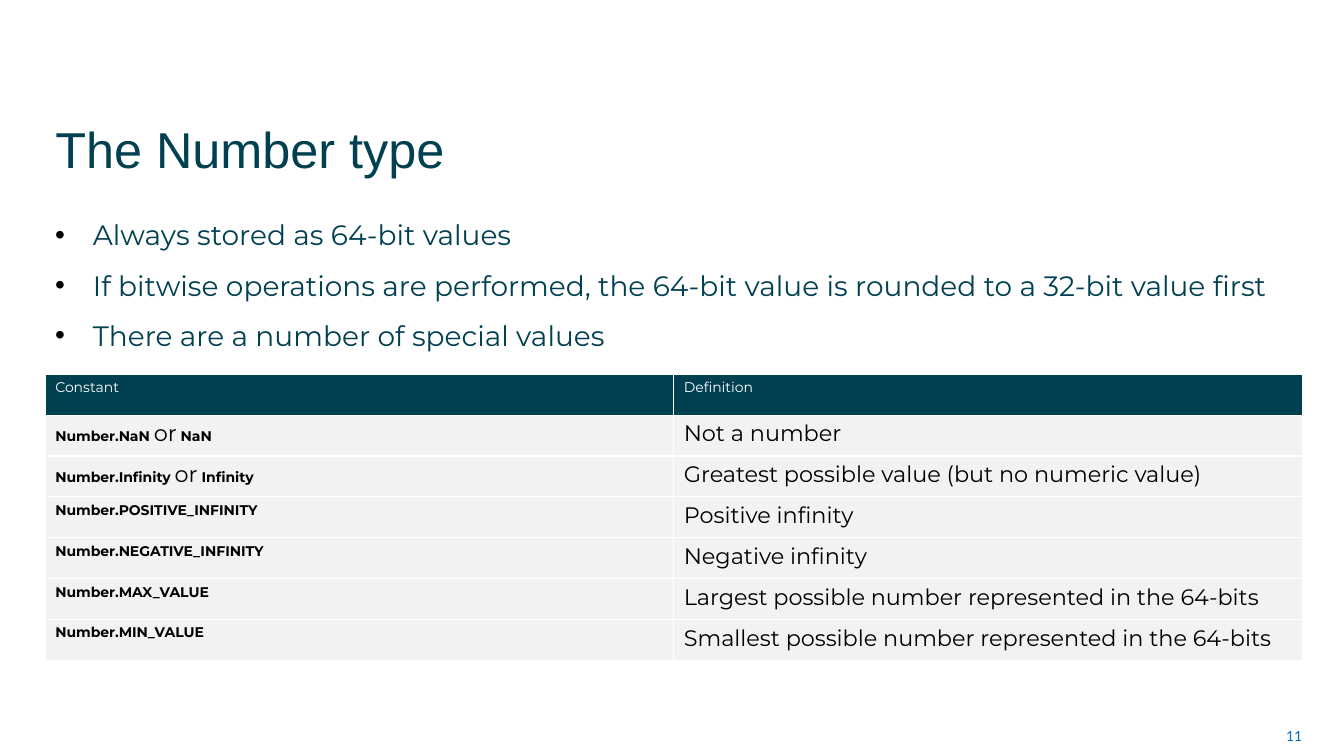
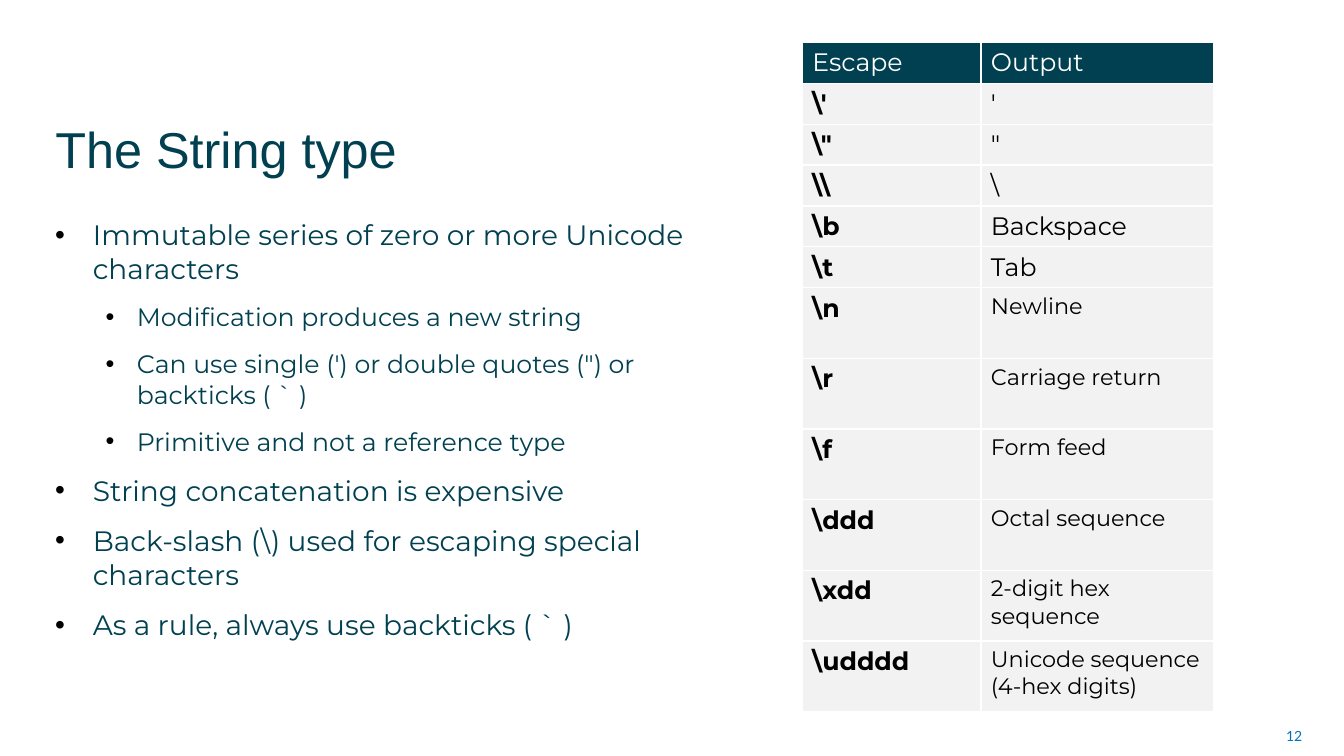
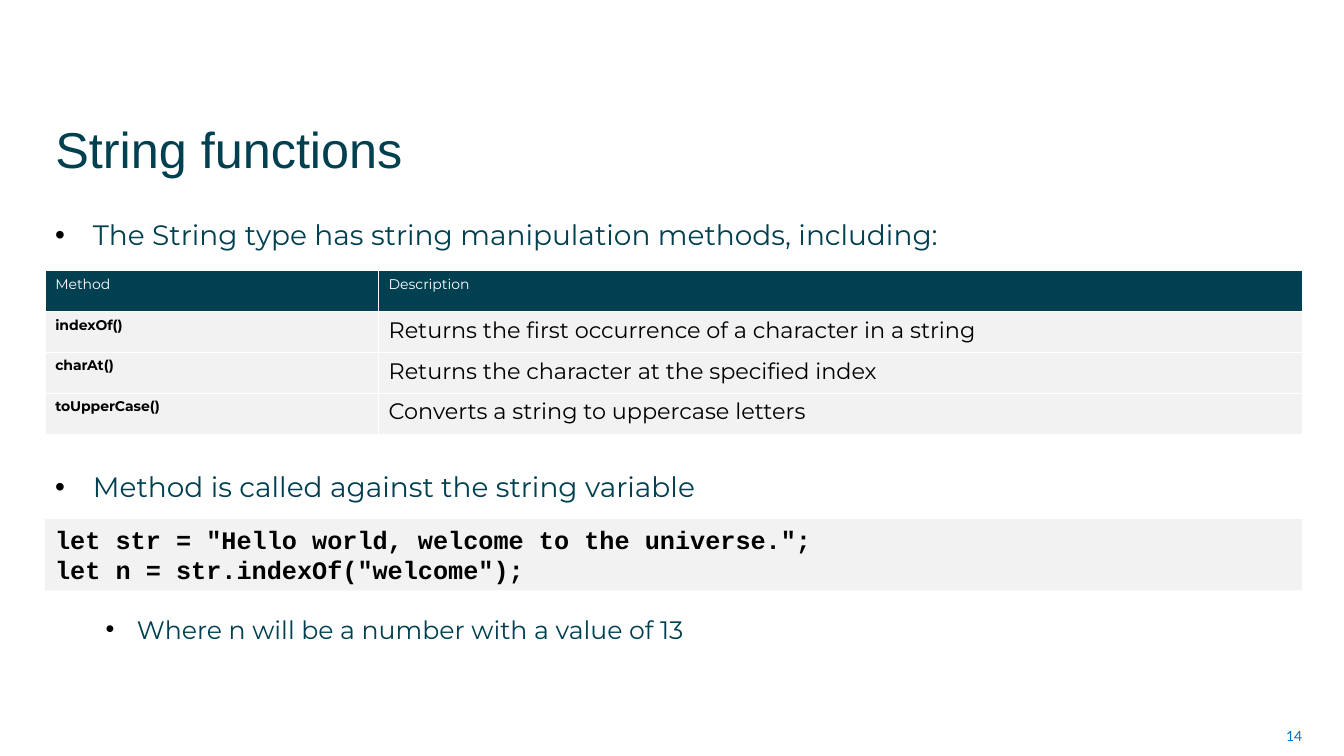
from itertools import cycle

from lxml import etree
from pptx import Presentation
from pptx.dml.color import RGBColor
from pptx.enum.shapes import MSO_SHAPE
from pptx.enum.text import MSO_ANCHOR, PP_ALIGN
from pptx.oxml.ns import qn
from pptx.util import Cm, Pt

RECTANGLE = MSO_SHAPE.RECTANGLE
MIDDLE, BOTTOM = MSO_ANCHOR.MIDDLE, MSO_ANCHOR.BOTTOM
LEFT, RIGHT = PP_ALIGN.LEFT, PP_ALIGN.RIGHT

TEAL = RGBColor(0x00, 0x40, 0x50)
BLUE = RGBColor(0x00, 0x70, 0xC0)
GREY = RGBColor(0xF2, 0xF2, 0xF2)
BLACK = RGBColor(0, 0, 0)
WHITE = RGBColor(0xFF, 0xFF, 0xFF)

MARGIN = Cm(1.14)
CONTENT_WIDTH = Cm(31.68)
ROW, TALL_ROW = Cm(1.03), Cm(1.78)
TITLE_ONLY = 5

TITLE_FONT = {"name": "Arial", "size": Pt(36), "bold": False}
NUMBER_FONT = {"name": "Lato", "size": Pt(10)}
CODE_FONT = {"name": "Courier New", "size": Pt(18), "bold": True}
BULLET_LEVELS = [
    {"size": 20, "indent": Cm(0.95), "hanging": Cm(0.95)},
    {"size": 18, "indent": Cm(2.06), "hanging": Cm(0.79)},
]


def montserrat(size, bold=False):
    """Return the format values of the text font."""
    return {"name": "Montserrat", "size": Pt(size), "bold": bold}


def add_text(paragraph, text, values, color):
    """Append one formatted run to a paragraph."""
    run = paragraph.add_run()
    run.text = text
    for key, value in values.items():
        setattr(run.font, key, value)
    run.font.color.rgb = color


def add_titled_slide(prs, title, number):
    """Add a slide with its title and slide number."""
    slide = prs.slides.add_slide(prs.slide_layouts[TITLE_ONLY])
    heading = slide.shapes.title
    place = {"left": MARGIN, "top": Cm(2.18), "width": Cm(26.29), "height": Cm(2.44)}
    for key, value in place.items():
        setattr(heading, key, value)
    heading.text_frame.vertical_anchor = BOTTOM
    title_line = heading.text_frame.paragraphs[0]
    title_line.alignment = LEFT
    add_text(title_line, title, TITLE_FONT, TEAL)

    footer = slide.shapes.add_textbox(Cm(25.17), Cm(18.03), Cm(7.9), Cm(1.02))
    footer.text_frame.word_wrap = True
    footer.text_frame.vertical_anchor = MIDDLE
    number_line = footer.text_frame.paragraphs[0]
    number_line.alignment = RIGHT
    add_text(number_line, str(number), NUMBER_FONT, BLUE)
    return slide


def set_bullet(paragraph, level):
    """Give a paragraph the black bullet and indent of its level."""
    paragraph.level = level
    properties = paragraph._p.get_or_add_pPr()
    properties.set("marL", str(BULLET_LEVELS[level]["indent"]))
    properties.set("indent", str(-BULLET_LEVELS[level]["hanging"]))
    bullet_color = etree.SubElement(properties, qn("a:buClr"))
    etree.SubElement(bullet_color, qn("a:srgbClr"), val=str(BLACK))
    etree.SubElement(properties, qn("a:buFont"), typeface="Arial")
    etree.SubElement(properties, qn("a:buChar"), char="•")


def add_bullets(slide, width, points):
    """Add the bullet list; each point is level, text and space before."""
    body = slide.shapes.add_textbox(MARGIN, Cm(5.36), width, Cm(12.62)).text_frame
    body.word_wrap = True
    for index, (level, text, space_before) in enumerate(points):
        paragraph = body.add_paragraph() if index else body.paragraphs[0]
        paragraph.space_before = Pt(space_before)
        paragraph.space_after = Pt(6)
        set_bullet(paragraph, level)
        add_text(paragraph, text, montserrat(BULLET_LEVELS[level]["size"]), TEAL)


def fill_cell(cell, background, color, parts, fonts):
    """Fill a cell and write its parts with the fonts in turn."""
    cell.fill.solid()
    cell.fill.fore_color.rgb = background
    for text, values in zip(parts, cycle(fonts)):
        add_text(cell.text_frame.paragraphs[0], text, values, color)


def add_reference_table(slide, left, top, widths, header, rows, key_size, tall_from=None,
                        short_size=16):
    """Add a table of bold keys and meanings; rows from tall_from on are tall."""
    tall_from = len(rows) if tall_from is None else tall_from
    frame = slide.shapes.add_table(len(rows) + 1, 2, left, top, sum(widths), ROW * (len(rows) + 1))
    table = frame.table
    table.horz_banding = False
    for column, width, label in zip(table.columns, widths, header):
        column.width = width
    for cell, label in zip(table.rows[0].cells, header):
        fill_cell(cell, TEAL, WHITE, [label], [montserrat(key_size)])
    table.rows[0].height = ROW
    for index, (keys, meaning) in enumerate(rows):
        tall = index >= tall_from
        row = table.rows[index + 1]
        row.height = TALL_ROW if tall else ROW
        key_cell, meaning_cell = row.cells
        fill_cell(key_cell, GREY, BLACK, keys, [montserrat(key_size, True), montserrat(16)])
        fill_cell(meaning_cell, GREY, BLACK, [meaning], [montserrat(16 if tall else short_size)])


def add_code(slide, top, height, lines):
    """Add a grey band with lines of code."""
    band = slide.shapes.add_shape(RECTANGLE, MARGIN, top, CONTENT_WIDTH, height)
    band.shadow.inherit = False
    band.fill.solid()
    band.fill.fore_color.rgb = GREY
    band.line.fill.background()
    band.text_frame.word_wrap = True
    band.text_frame.vertical_anchor = MIDDLE
    for index, line in enumerate(lines):
        paragraph = band.text_frame.add_paragraph() if index else band.text_frame.paragraphs[0]
        paragraph.alignment = LEFT
        add_text(paragraph, line, CODE_FONT, BLACK)


def build_number_type(prs):
    """Build the slide on the Number type."""
    slide = add_titled_slide(prs, "The Number type", 11)
    add_bullets(slide, CONTENT_WIDTH, [
        (0, "Always stored as 64-bit values", 6),
        (0, "If bitwise operations are performed, the 64-bit value is rounded to a 32-bit value first", 6),
        (0, "There are a number of special values", 6),
    ])
    constants = [
        (["Number.NaN ", "or", " NaN"], "Not a number"),
        (["Number.Infinity ", "or", " Infinity"], "Greatest possible value (but no numeric value)"),
        (["Number.POSITIVE_INFINITY"], "Positive infinity"),
        (["Number.NEGATIVE_INFINITY"], "Negative infinity"),
        (["Number.MAX_VALUE"], "Largest possible number represented in the 64-bits"),
        (["Number.MIN_VALUE"], "Smallest possible number represented in the 64-bits"),
    ]
    add_reference_table(slide, MARGIN, Cm(9.43), [Cm(15.84), Cm(15.84)],
                        ["Constant", "Definition"], constants, key_size=10)


def build_string_type(prs):
    """Build the slide on the String type."""
    slide = add_titled_slide(prs, "The String type", 12)
    add_bullets(slide, Cm(18.01), [
        (0, "Immutable series of zero or more Unicode characters", 6),
        (1, "Modification produces a new string", 6),
        (1, "Can use single (') or double quotes (\") or backticks ( ` )", 6),
        (1, "Primitive and not a reference type", 6),
        (0, "String concatenation is expensive", 6),
        (0, "Back-slash (\\) used for escaping special characters", 6),
        (0, "As a rule, always use backticks ( ` )", 6),
    ])
    escapes = [
        (["\\'"], "'"),
        (["\\\""], "\""),
        (["\\\\"], "\\"),
        (["\\b"], "Backspace"),
        (["\\t"], "Tab"),
        (["\\n"], "Newline"),
        (["\\r"], "Carriage return"),
        (["\\f"], "Form feed"),
        (["\\ddd"], "Octal sequence"),
        (["\\xdd"], "2-digit hex sequence"),
        (["\\udddd"], "Unicode sequence (4-hex digits)"),
    ]
    add_reference_table(slide, Cm(20.22), Cm(1.07), [Cm(4.5), Cm(5.87)], ["Escape", "Output"],
                        escapes, key_size=18, tall_from=5, short_size=18)


def build_string_functions(prs):
    """Build the slide on string functions."""
    slide = add_titled_slide(prs, "String functions", 14)
    add_bullets(slide, CONTENT_WIDTH, [
        (0, "The String type has string manipulation methods, including:", 6),
        (0, "Method is called against the string variable", 150),
        (1, "Where n will be a number with a value of 13", 73),
    ])
    methods = [
        (["indexOf()"], "Returns the first occurrence of a character in a string"),
        (["charAt()"], "Returns the character at the specified index"),
        (["toUpperCase()"], "Converts a string to uppercase letters"),
    ]
    add_reference_table(slide, MARGIN, Cm(6.82), [Cm(8.4), Cm(23.28)],
                        ["Method", "Description"], methods, key_size=10)
    add_code(slide, Cm(13.08), Cm(1.8), [
        "let str = \"Hello world, welcome to the universe.\";",
        "let n = str.indexOf(\"welcome\");",
    ])


def main():
    """Build and save the presentation."""
    prs = Presentation()
    prs.slide_width, prs.slide_height = Cm(33.87), Cm(19.05)
    build_number_type(prs)
    build_string_type(prs)
    build_string_functions(prs)
    prs.save("out.pptx")


if __name__ == "__main__":
    main()
